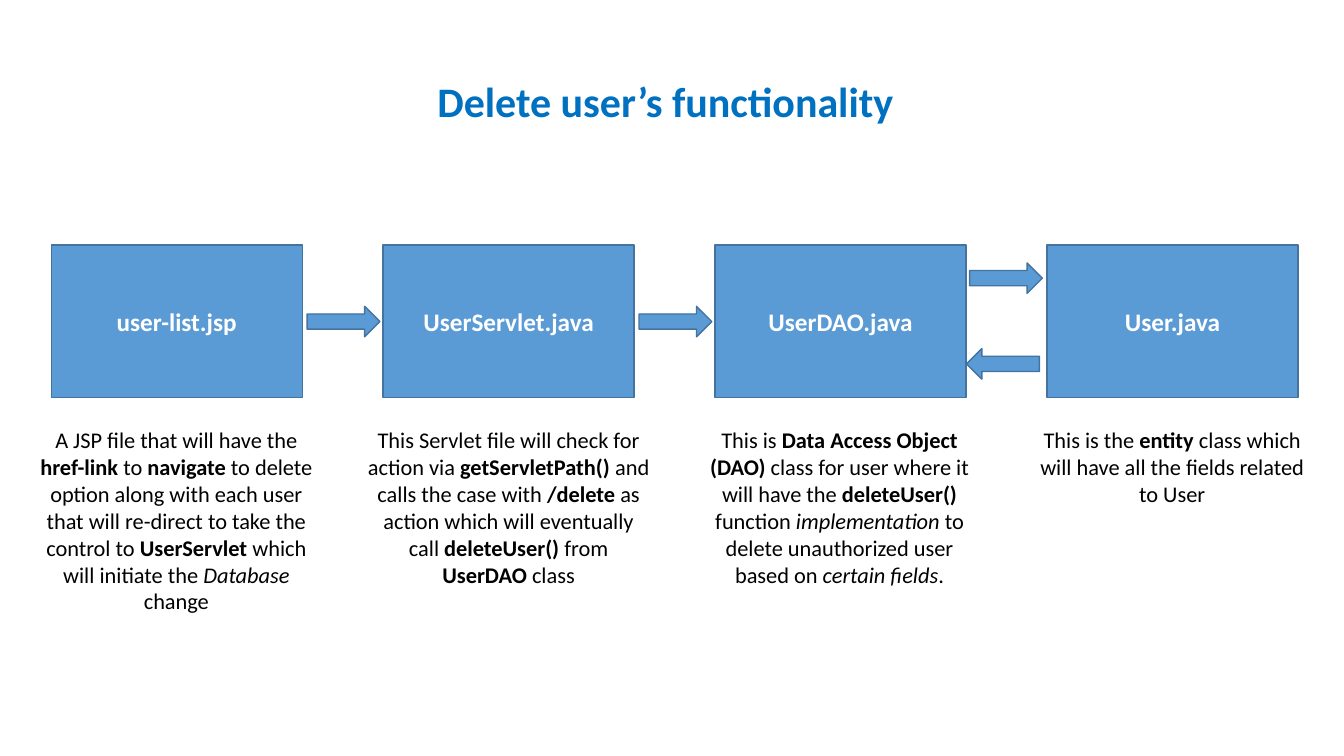
from pptx import Presentation
from pptx.dml.color import RGBColor
from pptx.enum.shapes import MSO_SHAPE
from pptx.enum.text import MSO_ANCHOR, MSO_AUTO_SIZE, PP_ALIGN
from pptx.util import Pt

# Colours and font
TITLE_BLUE = RGBColor(0x00, 0x70, 0xC0)
FILL_BLUE = RGBColor(0x5B, 0x9B, 0xD5)
LINE_BLUE = RGBColor(0x43, 0x73, 0x9E)
WHITE = RGBColor(0xFF, 0xFF, 0xFF)
BLACK = RGBColor(0x00, 0x00, 0x00)
FONT = "Calibri"

# Layout, in points
BOX_LEFT, BOX_TOP, BOX_W, BOX_H = 36.6, 175, 179.3, 108.8
BOX_STEP = 237.1
ARROW_W, ARROW_H = 52, 21.8
CAPTION_TOP = 301

# File name, caption left, width and height, caption
# (*bold* and _italic_ marks)
STEPS = [
    ("user-list.jsp", 18, 216, 143.3,
     "A JSP file that will have the *href-link* to *navigate *to delete option "
     "along with each user that will re-direct to take the control to "
     "*UserServlet* which will initiate the _Database_ change"),
    ("UserServlet.java", 254.2, 218.2, 123.8,
     "This Servlet file will check for action via *getServletPath()* and calls "
     "the case with* /delete* as action which will eventually call "
     "*deleteUser() *from *UserDAO* class"),
    ("UserDAO.java", 494.6, 210.2, 123.8,
     "This is *Data Access Object (DAO)* class for user where it will have the "
     "*deleteUser() *function _implementation_ to delete unauthorized user "
     "based on _certain fields_."),
    ("User.java", 732.2, 210.2, 65.5,
     "This is the *entity* class which will have all the fields related to User"),
]

# Arrow left, top and rotation
ARROWS = [
    (219.4, 218.8, 0),
    (456.5, 218.8, 0),
    (692.6, 187.8, 0),
    (690.4, 249, 180),
]


def write(tf, text, size, color, bold=False, align=PP_ALIGN.CENTER):
    p = tf.paragraphs[0]
    p.alignment = align
    for i, part in enumerate(text.split("*")):
        for j, piece in enumerate(part.split("_")):
            if not piece:
                continue
            r = p.add_run()
            r.text = piece
            r.font.name = FONT
            r.font.size = Pt(size)
            r.font.color.rgb = color
            r.font.bold = bold or i % 2 == 1
            r.font.italic = j % 2 == 1


def add_shape(s, kind, left, top, width, height):
    sp = s.shapes.add_shape(kind, Pt(left), Pt(top), Pt(width), Pt(height))
    sp.shadow.inherit = False
    sp.fill.solid()
    sp.fill.fore_color.rgb = FILL_BLUE
    sp.line.color.rgb = LINE_BLUE
    sp.line.width = Pt(1)
    return sp


def add_text(s, text, left, top, width, height, wrap=True, **fmt):
    sp = s.shapes.add_textbox(Pt(left), Pt(top), Pt(width), Pt(height))
    tf = sp.text_frame
    tf.word_wrap = wrap
    tf.auto_size = MSO_AUTO_SIZE.SHAPE_TO_FIT_TEXT
    write(tf, text, **fmt)


def add_box(s, name, left):
    sp = add_shape(s, MSO_SHAPE.RECTANGLE, left, BOX_TOP, BOX_W, BOX_H)
    tf = sp.text_frame
    tf.vertical_anchor = MSO_ANCHOR.MIDDLE
    write(tf, name, size=18, color=WHITE, bold=True)


def main():
    prs = Presentation()
    prs.slide_width, prs.slide_height = Pt(960), Pt(540)
    s = prs.slides.add_slide(prs.slide_layouts[6])

    # Title
    add_text(s, "Delete user’s functionality", 305.3, 50.4, 344.2, 43.9,
             wrap=False, size=30, color=TITLE_BLUE, bold=True,
             align=PP_ALIGN.LEFT)

    # File boxes with their captions
    for i, (name, left, width, height, caption) in enumerate(STEPS):
        add_box(s, name, BOX_LEFT + i * BOX_STEP)
        add_text(s, caption, left, CAPTION_TOP, width, height,
                 size=16, color=BLACK)

    # Arrows between the files
    for left, top, rotation in ARROWS:
        sp = add_shape(s, MSO_SHAPE.RIGHT_ARROW, left, top, ARROW_W, ARROW_H)
        sp.rotation = rotation

    prs.save("out.pptx")


main()
